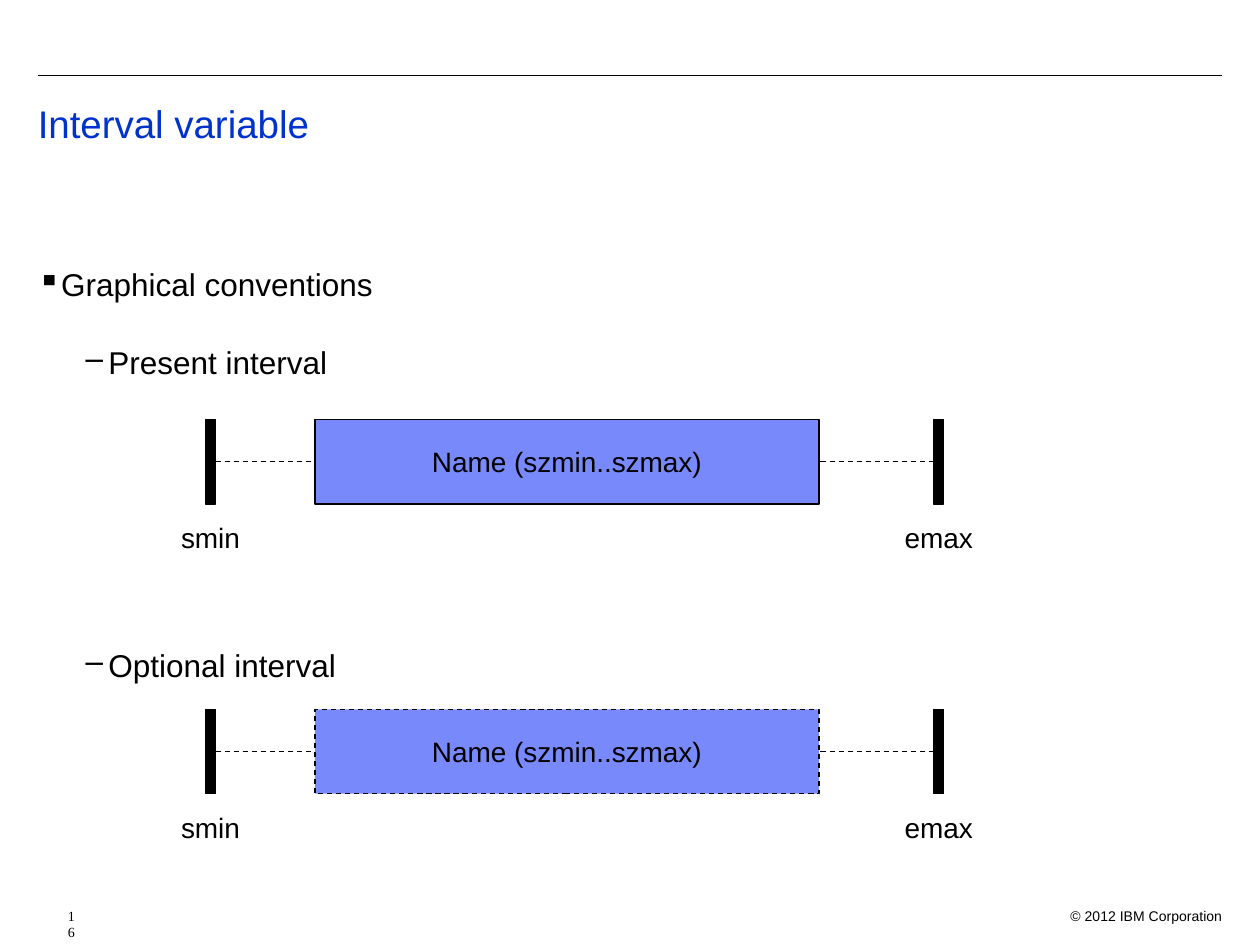
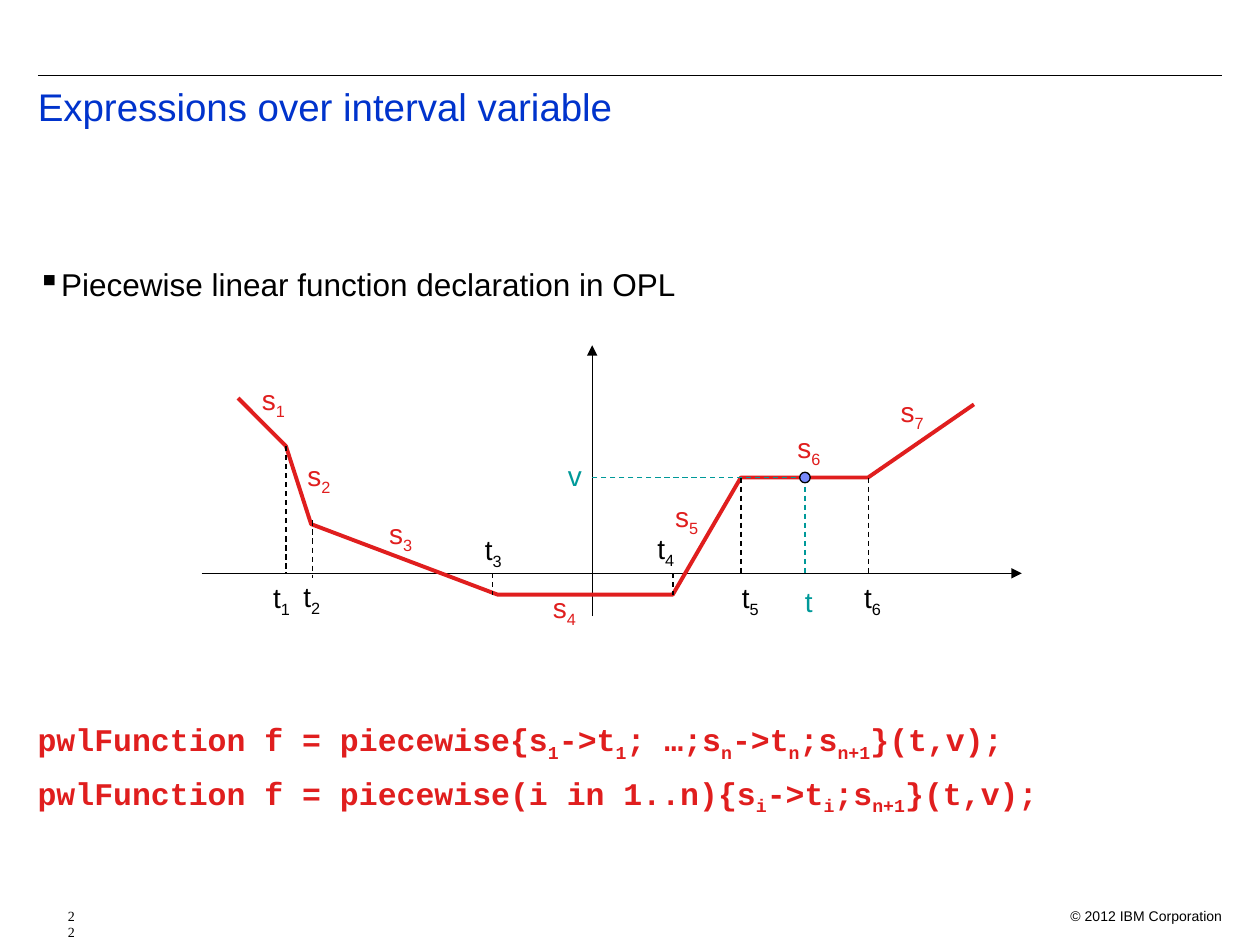
from pptx import Presentation
from pptx.dml.color import RGBColor
from pptx.enum.dml import MSO_LINE
from pptx.enum.shapes import MSO_CONNECTOR, MSO_SHAPE
from pptx.enum.text import MSO_ANCHOR, PP_ALIGN
from pptx.oxml.ns import qn
from pptx.util import Pt
from lxml import etree

LEFT, CENTER, RIGHT = PP_ALIGN.LEFT, PP_ALIGN.CENTER, PP_ALIGN.RIGHT
TOP, MIDDLE = MSO_ANCHOR.TOP, MSO_ANCHOR.MIDDLE
RECTANGLE, OVAL = MSO_SHAPE.RECTANGLE, MSO_SHAPE.OVAL
STRAIGHT, DASH = MSO_CONNECTOR.STRAIGHT, MSO_LINE.DASH

COLORS = {"ink": "000000", "title": "0033CC", "interval": "7889FB",
          "curve": "E01E1E", "value": "009999"}
COPYRIGHT = "© 2012 IBM Corporation"
BODY = (14.4, 148, 684, 310)

# Bullet levels: character, left margin, hanging indent
LEVELS = [("▪", 13.5, -13.5), ("–", 40.5, -13)]

# Level, text, space before
CONVENTIONS = [(0, "Graphical conventions", 0),
               (1, "Present interval", 22.7),
               (1, "Optional interval", 151.9)]
DECLARATION = [(0, "Piecewise linear function declaration in OPL", 0)]

# Top of the interval drawing, dash of its outline
INTERVALS = [(239.8, None), (405.4, DASH)]
INTERVAL_NAME = "Name (szmin..szmax)"
INTERVAL_HEIGHT = 48.2
BOUNDS = [("smin", 117.4), ("emax", 533.5)]
BAR_WIDTH = 5.8

AXIS_Y, AXIS_X, VALUE_Y, TIME_X = 327.6, 338.4, 272.9, 460
AXES = [(115.2, AXIS_Y, 583.9, AXIS_Y), (AXIS_X, 352.1, AXIS_X, 197.3)]
CURVE = [(136.1, 227.5), (163.4, 254.9), (177.8, 299.5), (284.4, 339.8),
         (384.5, 339.8), (423.4, VALUE_Y), (496.1, VALUE_Y), (556.6, 231.1)]
# Dashed lines at the breakpoints: x, top, bottom
BREAKPOINTS = [(163.4, 254.9, AXIS_Y), (178.6, 297.4, 330.5),
               (281.5, AXIS_Y, 339.8), (384.5, AXIS_Y, 339.8),
               (423.4, VALUE_Y, AXIS_Y), (496.1, VALUE_Y, AXIS_Y)]
VALUE_LINES = [(TIME_X, VALUE_Y, TIME_X, AXIS_Y),
               (TIME_X, VALUE_Y, AXIS_X, VALUE_Y)]

# Every second part between bars is a subscript
SLOPE_LABELS = [("s|1", 142.6, 215.3), ("s|2", 168.5, 258.5),
                ("s|3", 215.3, 291.6), ("s|4", 308.9, 334.1),
                ("s|5", 378.7, 282.2), ("s|6", 448.6, 242.6),
                ("s|7", 507.6, 221.8)]
TIME_LABELS = [("t|1", 149, 328.3), ("t|2", 166.3, 327.6),
               ("t|3", 270, 301), ("t|4", 368.6, 300.2),
               ("t|5", 416.9, 328.3), ("t|6", 486.7, 328.3)]
VALUE_LABELS = [("t", 452.9, 330.5), ("v", 317.5, 258.5)]
LABEL_GROUPS = [("curve", 27.4, SLOPE_LABELS), ("ink", 23.8, TIME_LABELS),
                ("value", 20, VALUE_LABELS)]
CODE = ["pwlFunction f = piecewise{s|1|->t|1|; …;s|n|->t|n|;s|n+1|}(t,v);",
        "pwlFunction f = piecewise(i in 1..n){s|i|->t|i|;s|n+1|}(t,v);"]


def rgb(name):
    return RGBColor.from_string(COLORS[name])


def write(para, text, size=16, color="ink", font="Arial", bold=False,
          align=LEFT, before=0, spacing=None, margin=0, indent=0, bullet=None):
    para.alignment = align
    para.space_before = Pt(before)
    if spacing:
        para.line_spacing = spacing
    properties = para._p.get_or_add_pPr()
    properties.set("marL", str(Pt(margin)))
    properties.set("indent", str(Pt(indent)))
    if bullet:
        tint = etree.SubElement(properties, qn("a:buClr"))
        etree.SubElement(tint, qn("a:srgbClr")).set("val", COLORS[color])
        etree.SubElement(properties, qn("a:buChar")).set("char", bullet)
    for index, part in enumerate(text.split("|")):
        span = para.add_run()
        span.text = part
        span.font.size = Pt(size)
        span.font.name = font
        span.font.bold = bold
        span.font.color.rgb = rgb(color)
        if index % 2:
            span._r.get_or_add_rPr().set("baseline", "-25000")


def add_text(page, place, lines, wrap=True, **style):
    """Add a text box; each line is a text or a (text, own format) pair."""
    box = page.shapes.add_textbox(*map(Pt, place))
    frame = box.text_frame
    frame.word_wrap = wrap
    for index, line in enumerate(lines):
        text, extra = (line, {}) if isinstance(line, str) else line
        para = frame.add_paragraph() if index else frame.paragraphs[0]
        write(para, text, **{**style, **extra})


def add_bullets(page, items):
    lines = []
    for level, text, before in items:
        bullet, margin, indent = LEVELS[level]
        lines.append((text, dict(bullet=bullet, margin=margin,
                                 indent=indent, before=before)))
    add_text(page, BODY, lines, size=18)


def add_shape(page, kind, place, fill, dash=None):
    shape = page.shapes.add_shape(kind, *map(Pt, place))
    shape.shadow.inherit = False
    shape.fill.solid()
    shape.fill.fore_color.rgb = rgb(fill)
    shape.line.color.rgb = rgb("ink")
    shape.line.width = Pt(0.75)
    if dash:
        shape.line.dash_style = dash
    return shape


def add_line(page, ends, color="ink", dash=None, arrow=False):
    line = page.shapes.add_connector(STRAIGHT, *map(Pt, ends))
    line.line.color.rgb = rgb(color)
    line.line.width = Pt(0.75)
    if dash:
        line.line.dash_style = dash
    if arrow:
        outline = line.line._get_or_add_ln()
        etree.SubElement(outline, qn("a:tailEnd")).set("type", "triangle")
    etree.SubElement(line._element.spPr, qn("a:effectLst"))
    return line


def add_page(deck, title, number, anchor):
    page = deck.slides.add_slide(deck.slide_layouts[5])
    add_line(page, (21.6, 43.2, 698.4, 43.2))
    add_text(page, (597.6, 514.8, 108, 14.4), [COPYRIGHT], size=8, align=RIGHT)
    add_text(page, (14.4, 514.8, 28.8, 14.4), [number], size=8,
             font="Times New Roman", margin=17.3)
    heading = page.shapes.title
    heading.left, heading.top = Pt(14.4), Pt(46.8)
    heading.width, heading.height = Pt(684), Pt(50.4)
    heading.text_frame.vertical_anchor = anchor
    write(heading.text_frame.paragraphs[0], title, size=22, color="title",
          spacing=0.9)
    return page


def add_interval(page, top, dash):
    bars = []
    for label, left in BOUNDS:
        bars.append(add_shape(page, RECTANGLE,
                              (left, top, BAR_WIDTH, INTERVAL_HEIGHT), "ink"))
        add_text(page, (left + BAR_WIDTH / 2 - 27, top + 54, 54, 26.6),
                 [label], wrap=False, align=CENTER)
    middle = top + INTERVAL_HEIGHT / 2
    start, end = bars
    span_line = add_line(page, (BOUNDS[0][1] + BAR_WIDTH, middle,
                                BOUNDS[1][1], middle), dash=DASH)
    span_line.begin_connect(start, 3)
    span_line.end_connect(end, 1)
    body = add_shape(page, RECTANGLE, (180, top, 288, INTERVAL_HEIGHT),
                     "interval", dash)
    body.text_frame.word_wrap = False
    body.text_frame.vertical_anchor = MIDDLE
    write(body.text_frame.paragraphs[0], INTERVAL_NAME, align=CENTER)


def add_curve(page):
    points = [(Pt(x), Pt(y)) for x, y in CURVE]
    builder = page.shapes.build_freeform(*points[0])
    builder.add_line_segments(points[1:], close=False)
    curve = builder.convert_to_shape()
    curve.shadow.inherit = False
    curve.fill.background()
    curve.line.color.rgb = rgb("curve")
    curve.line.width = Pt(2.25)


def add_plot(page):
    for ends in AXES:
        add_line(page, ends, arrow=True)
    add_curve(page)
    for x, top, bottom in BREAKPOINTS:
        add_line(page, (x, top, x, bottom), dash=DASH)
    for ends in VALUE_LINES:
        add_line(page, ends, color="value", dash=DASH)
    for color, width, labels in LABEL_GROUPS:
        for text, left, top in labels:
            add_text(page, (left, top, width, 28), [text], wrap=False,
                     color=color)
    add_shape(page, OVAL, (TIME_X - 3, VALUE_Y - 3, 6, 6), "interval")


def main():
    deck = Presentation()
    deck.slide_width, deck.slide_height = Pt(720), Pt(540)

    page = add_page(deck, "Interval variable", "16", MIDDLE)
    add_bullets(page, CONVENTIONS)
    for top, dash in INTERVALS:
        add_interval(page, top, dash)

    page = add_page(deck, "Expressions over interval variable", "22", TOP)
    add_bullets(page, DECLARATION)
    add_plot(page)
    first, second = CODE
    add_text(page, (14.4, 408, 684, 64), [first, (second, dict(before=6))],
             size=18, font="Courier New", bold=True, color="curve")

    deck.save("out.pptx")


if __name__ == "__main__":
    main()
